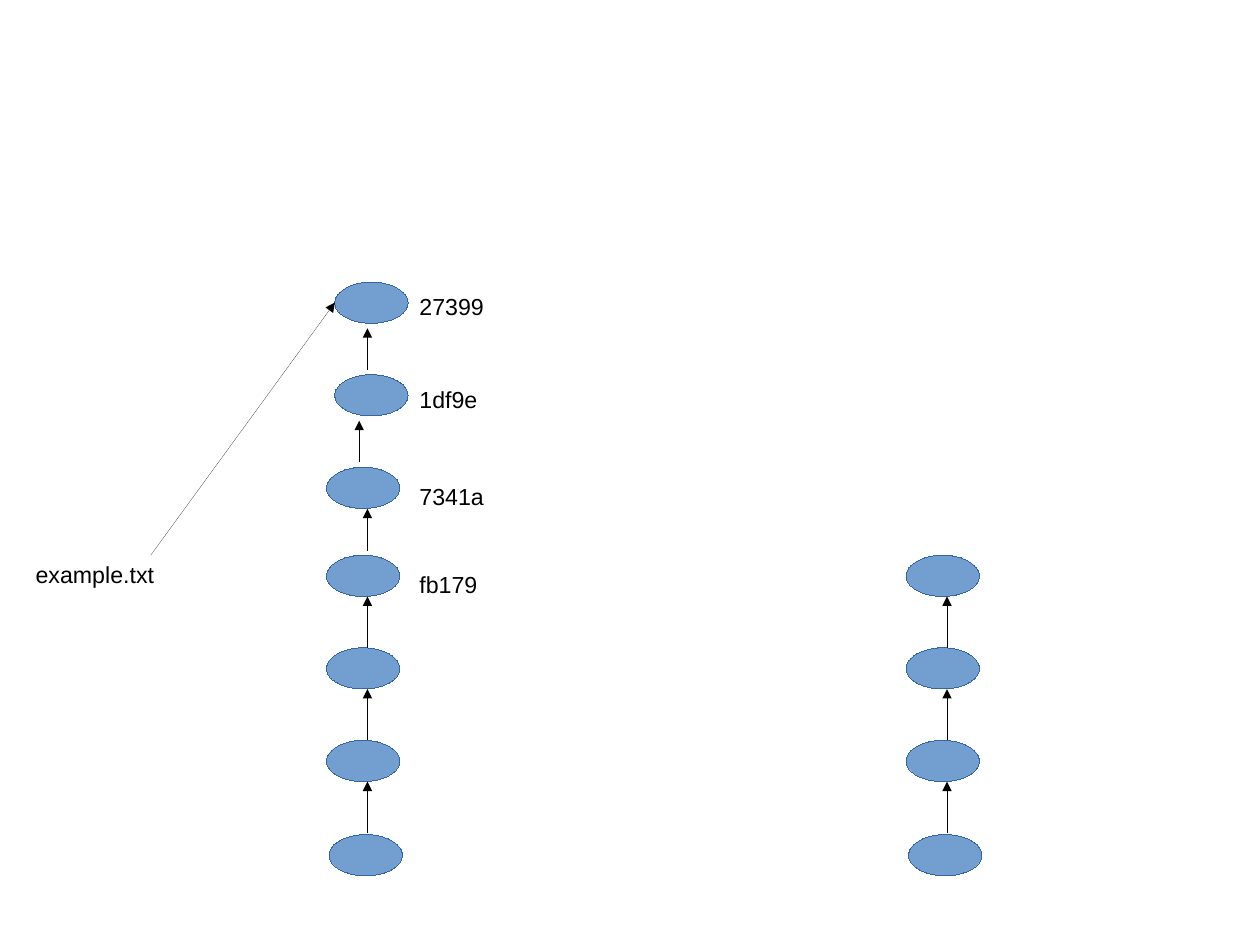
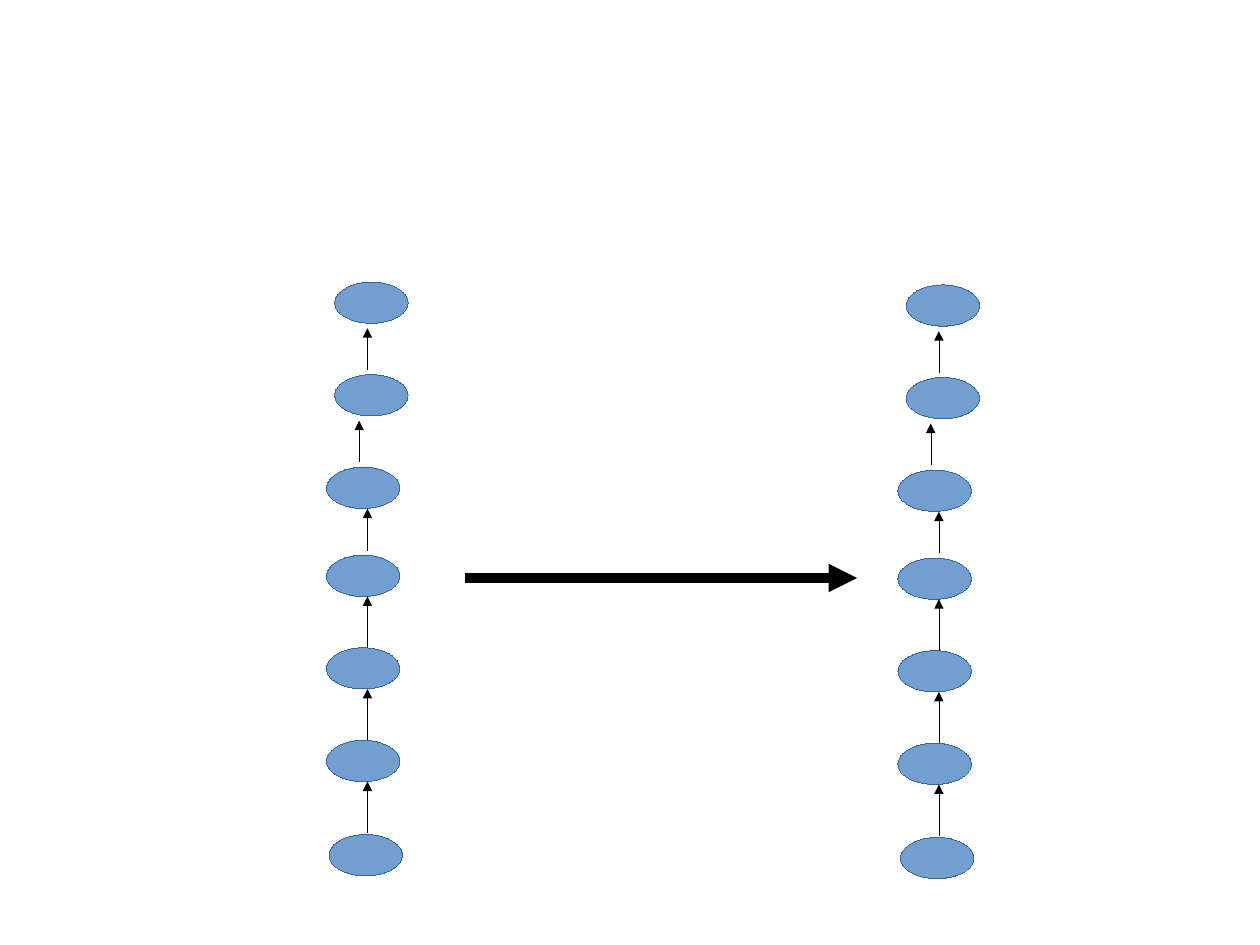
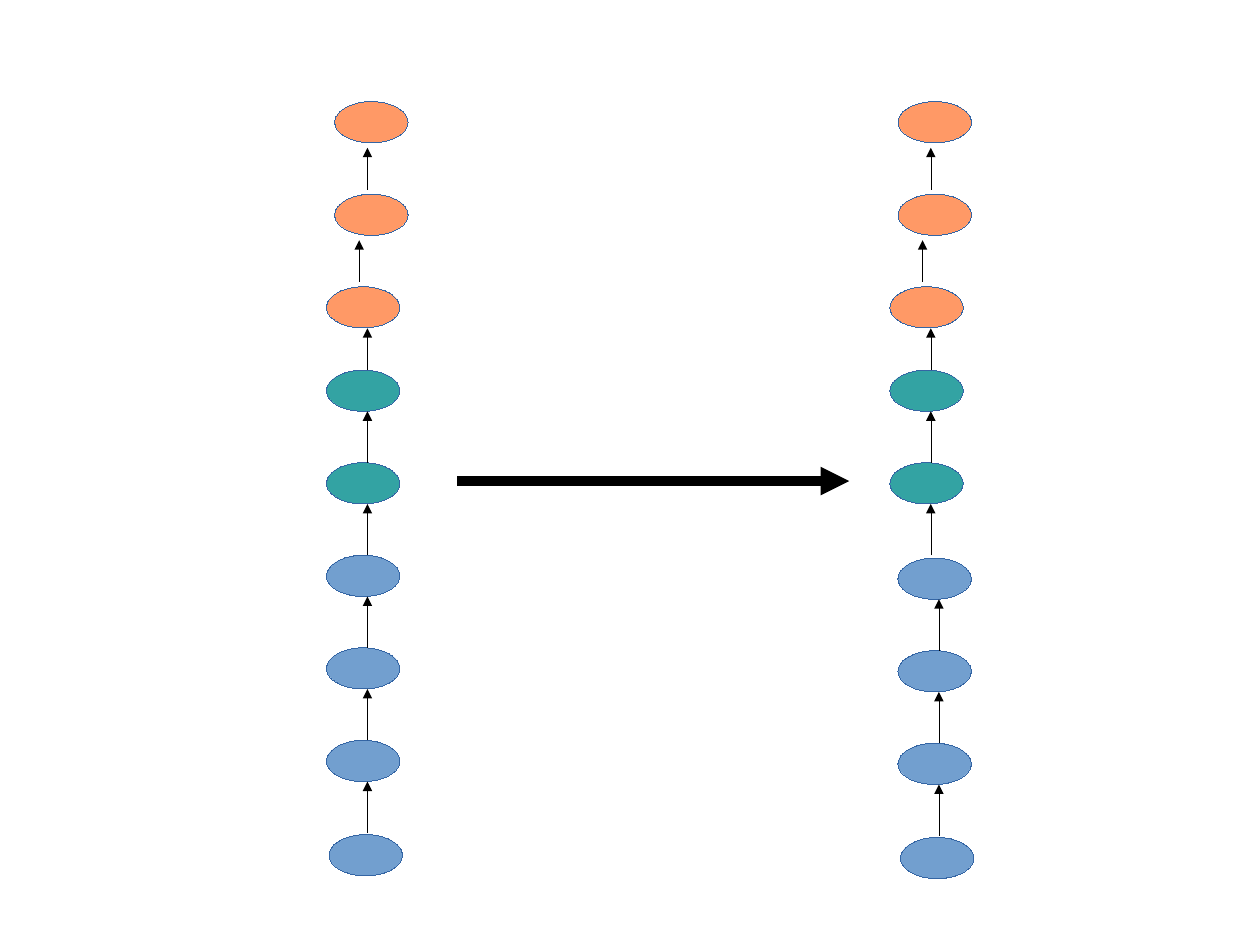
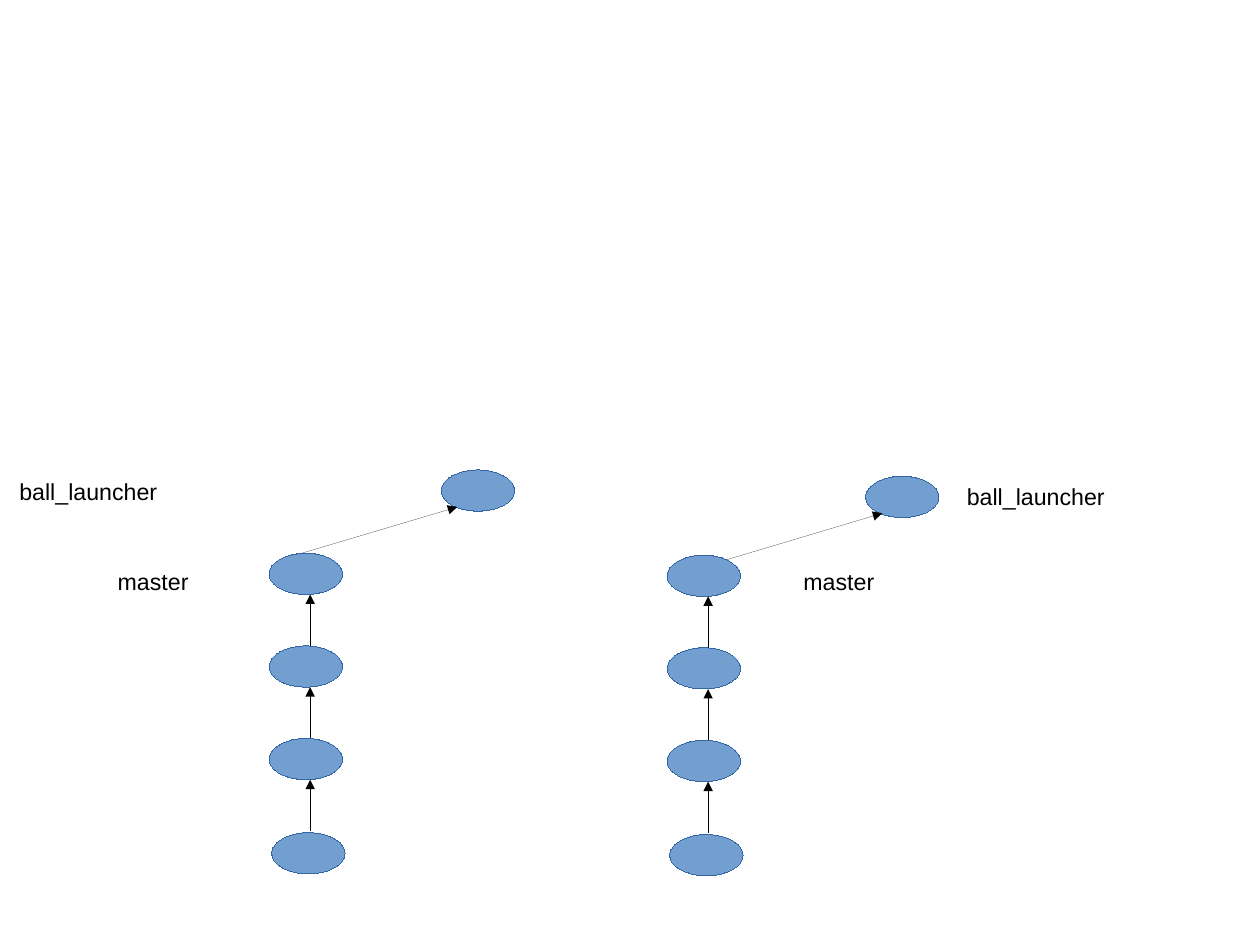
from typing import NamedTuple, Optional

from lxml import etree
from pptx import Presentation
from pptx.dml.color import RGBColor
from pptx.enum.shapes import MSO_CONNECTOR, MSO_SHAPE
from pptx.oxml.ns import qn
from pptx.shapes.base import BaseShape
from pptx.slide import Slide
from pptx.util import Pt

OVAL = MSO_SHAPE.OVAL
LINE = MSO_CONNECTOR.STRAIGHT

HUES = {
    "blue": "729FCF",
    "teal": "33A3A3",
    "coral": "FF9966",
    "edge": "3465A4",
    "ink": "000000",
}

# Shared sizes, in points
PAGE_W, PAGE_H = 793.75, 595.25
NODE_W, NODE_H = 46.2, 26
STEP = 58.32
ARROW_X = 25.8
THICK = 6
FONT, SIZE = "Arial", 14.6


class Label(NamedTuple):
    text: str
    x: float
    y: float
    w: float
    h: float = 23


class Arrow(NamedTuple):
    x1: float
    y1: float
    x2: float
    y2: float
    width: Optional[float] = None  # None draws a hairline


class Node(NamedTuple):
    x: float
    y: float
    hue: str = "blue"


def color(name: str) -> RGBColor:
    return RGBColor.from_string(HUES[name])


def drop_style(shape: BaseShape) -> None:
    """Remove the theme style, so that lines stay hairlines."""
    root = shape.element
    root.remove(root.find(qn("p:style")))


# Single elements
def add_node(slide: Slide, node: Node) -> None:
    oval = slide.shapes.add_shape(OVAL, Pt(node.x), Pt(node.y), Pt(NODE_W), Pt(NODE_H))
    drop_style(oval)
    oval.shadow.inherit = False
    oval.fill.solid()
    oval.fill.fore_color.rgb = color(node.hue)
    oval.line.color.rgb = color("edge")


def add_arrow(slide: Slide, arrow: Arrow) -> None:
    line = slide.shapes.add_connector(
        LINE, Pt(arrow.x1), Pt(arrow.y1), Pt(arrow.x2), Pt(arrow.y2))
    drop_style(line)
    line.line.color.rgb = color("ink")
    if arrow.width:
        line.line.width = Pt(arrow.width)
    props = line.element.find(qn("p:spPr"))
    etree.SubElement(props.find(qn("a:ln")), qn("a:tailEnd"), type="triangle")
    etree.SubElement(props, qn("a:effectLst"))


def add_label(slide: Slide, label: Label) -> None:
    box = slide.shapes.add_textbox(
        Pt(label.x), Pt(label.y), Pt(label.w), Pt(label.h))
    frame = box.text_frame
    frame.word_wrap = True
    frame.text = label.text
    font = frame.paragraphs[0].font
    font.name = FONT
    font.size = Pt(SIZE)
    font.color.rgb = color("ink")


# Groups of commits, each placed by the left and top of its main node
def add_links(slide: Slide, x: float, y: float, count: int) -> None:
    """Arrows that rise to each of the first count commits."""
    for row in range(count):
        top = y + row * STEP
        add_arrow(slide, Arrow(x + ARROW_X, top + STEP, x + ARROW_X, top + NODE_H))


def add_base(slide: Slide, x: float, y: float) -> None:
    """Four blue commits, the lowest one set slightly aside."""
    for row in range(3):
        add_node(slide, Node(x, y + row * STEP))
    add_node(slide, Node(x + 1.6, y + 3 * STEP + 1))
    add_links(slide, x, y, 3)


def add_pair(slide: Slide, x: float, y: float) -> None:
    """Two teal commits with an arrow below each."""
    for row in range(2):
        add_node(slide, Node(x, y + row * STEP, "teal"))
    add_links(slide, x, y, 2)


def add_top(slide: Slide, x: float, y: float, hue: str = "blue") -> None:
    """Three newest commits; y is the top of the lowest one."""
    for row, shift in enumerate((0, 5.2, 5.2)):
        add_node(slide, Node(x + shift, y - row * STEP, hue))
    for dx, start in ((ARROW_X, 52.5), (20.6, -3), (ARROW_X, -61.2)):
        add_arrow(slide, Arrow(x + dx, y + start, x + dx, y + start - 26.3))


# Slides
LEFT, RIGHT = 205.7, 565.7
BASE, LOW = 349.7, 351.5
HIGH = 294.3


def build_file(slide: Slide) -> None:
    add_base(slide, 570.8, BASE)
    add_base(slide, LEFT, BASE)
    add_top(slide, LEFT, HIGH)
    for text, y in (("fb179", 355.7), ("7341a", 300.2), ("1df9e", 239), ("27399", 180.7)):
        add_label(slide, Label(text, 257.1, y, 154))
    add_label(slide, Label("example.txt", 15.3, BASE, 159, 26))
    add_arrow(slide, Arrow(95, BASE, 211, 190.6))


def build_copy(slide: Slide) -> None:
    for x, y, top in ((LEFT, BASE, HIGH), (RIGHT, LOW, 296.1)):
        add_base(slide, x, y)
        add_top(slide, x, top)
    add_arrow(slide, Arrow(293.2, 364.1, 540, 364.1, THICK))


def build_merge(slide: Slide) -> None:
    for x, y, upper in ((LEFT, BASE, LEFT), (RIGHT, LOW, 560.6)):
        add_base(slide, x, y)
        add_pair(slide, upper, 233.1)
        add_top(slide, upper, 180.6, "coral")
    add_arrow(slide, Arrow(288.2, 303, 535, 303, THICK))


def build_branch(slide: Slide) -> None:
    for x, y in ((420.3, BASE), (169.6, 348.5)):
        add_base(slide, x, y)
    for node in (Node(278, 296), Node(545.3, 300)):
        add_node(slide, node)
    for arrow in (Arrow(190, 348.5, 288, 319.4), Arrow(458, 352.5, 555.8, 323.3)):
        add_arrow(slide, arrow)
    for label in (
        Label("master", 499, 353.6, 118),
        Label("master", 67, 353.6, 118),
        Label("ball_launcher", 5.1, 297, 185),
        Label("ball_launcher", 602, 300.2, 185),
    ):
        add_label(slide, label)


def main() -> None:
    deck = Presentation()
    deck.slide_width, deck.slide_height = Pt(PAGE_W), Pt(PAGE_H)
    blank = deck.slide_layouts[6]
    for build in (build_file, build_copy, build_merge, build_branch):
        build(deck.slides.add_slide(blank))
    deck.save("out.pptx")


if __name__ == "__main__":
    main()
